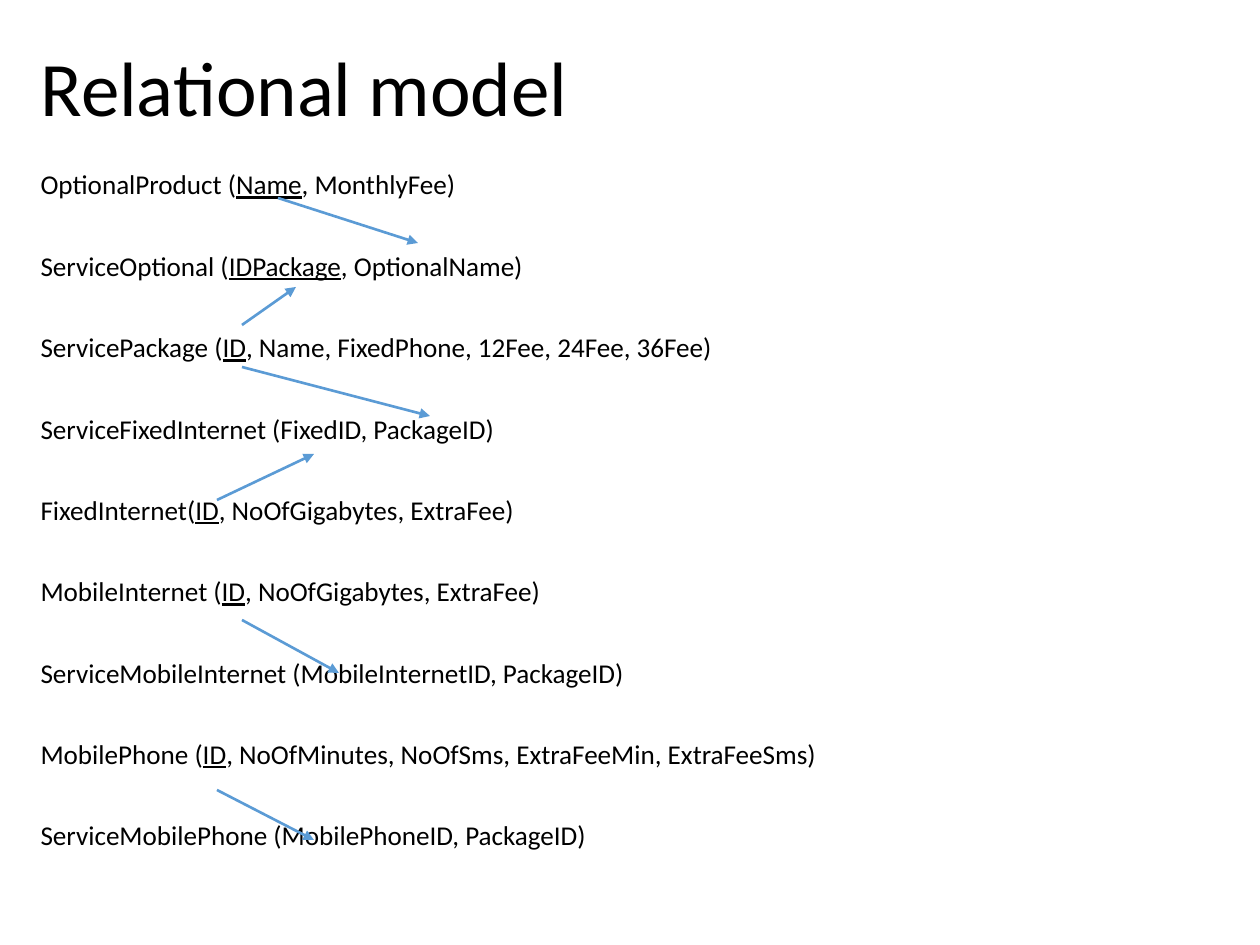
from lxml import etree
from pptx import Presentation
from pptx.dml.color import RGBColor
from pptx.enum.shapes import MSO_CONNECTOR
from pptx.enum.text import MSO_ANCHOR, MSO_AUTO_SIZE, PP_ALIGN
from pptx.oxml.ns import qn
from pptx.util import Emu, Pt

STRAIGHT = MSO_CONNECTOR.STRAIGHT
LEFT = PP_ALIGN.LEFT
MIDDLE, TOP = MSO_ANCHOR.MIDDLE, MSO_ANCHOR.TOP
NO_FIT = MSO_AUTO_SIZE.NONE
EMU_PER_PX = 914400 / 126
FONT = "Calibri"
COLOURS = {"text": "000000", "arrow": "5B9BD5"}


def px(*lengths):
    return [Emu(round(length * EMU_PER_PX)) for length in lengths]


def place(placeholder, box, anchor):
    placeholder.left, placeholder.top, placeholder.width, placeholder.height = px(*box)
    frame = placeholder.text_frame
    frame.word_wrap = True
    frame.auto_size = NO_FIT
    frame.vertical_anchor = anchor
    return frame


relations = [
    ("OptionalProduct (", "Name", ", MonthlyFee)"),
    ("ServiceOptional (", "IDPackage", ", OptionalName)"),
    ("ServicePackage (", "ID", ", Name, FixedPhone, 12Fee, 24Fee, 36Fee)"),
    ("ServiceFixedInternet (FixedID, PackageID)",),
    ("FixedInternet(", "ID", ", NoOfGigabytes, ExtraFee)"),
    ("MobileInternet (", "ID", ", NoOfGigabytes, ExtraFee)"),
    ("ServiceMobileInternet (MobileInternetID, PackageID)",),
    ("MobilePhone (", "ID", ", NoOfMinutes, NoOfSms, ExtraFeeMin, ExtraFeeSms)"),
    ("ServiceMobilePhone (MobilePhoneID, PackageID)",),
]
key_arrows = [
    (242, 325, 296, 287),
    (217, 500, 314, 454),
    (242, 620, 339, 673),
    (217, 790, 314, 840),
    (278, 198, 418, 243),
    (242, 367, 430, 416),
]

prs = Presentation()
prs.slide_width, prs.slide_height = px(1260, 945)
slide = prs.slides.add_slide(prs.slide_layouts[1])

heading = place(slide.shapes.title, (28, 0, 1086, 183), MIDDLE).paragraphs[0]
heading.text = "Relational model"
heading.alignment = LEFT
heading.line_spacing = 0.9
heading.font.name = FONT
heading.font.size = Pt(44)
heading.font.color.rgb = RGBColor.from_string(COLOURS["text"])

schema = place(slide.placeholders[1], (28, 129, 1171, 794), TOP)
for index, parts in enumerate(relations):
    relation = schema.add_paragraph() if index else schema.paragraphs[0]
    relation.alignment = LEFT
    relation.line_spacing = 2.0
    relation.space_before = Pt(9.3)
    properties = relation._p.get_or_add_pPr()
    properties.set("marL", "0")
    properties.set("indent", "0")
    etree.SubElement(properties, qn("a:buNone"))
    relation.font.name = FONT
    relation.font.size = Pt(15.5)
    relation.font.color.rgb = RGBColor.from_string(COLOURS["text"])
    for position, part in enumerate(parts):
        run = relation.add_run()
        run.text = part
        if position == 1:
            run.font.underline = True

for ends in key_arrows:
    key_arrow = slide.shapes.add_connector(STRAIGHT, *px(*ends))
    key_arrow.line.color.rgb = RGBColor.from_string(COLOURS["arrow"])
    key_arrow.line.width = Pt(1.5)
    etree.SubElement(key_arrow.line._get_or_add_ln(), qn("a:tailEnd"), type="triangle")
    etree.SubElement(key_arrow._element.spPr, qn("a:effectLst"))

prs.save("out.pptx")
